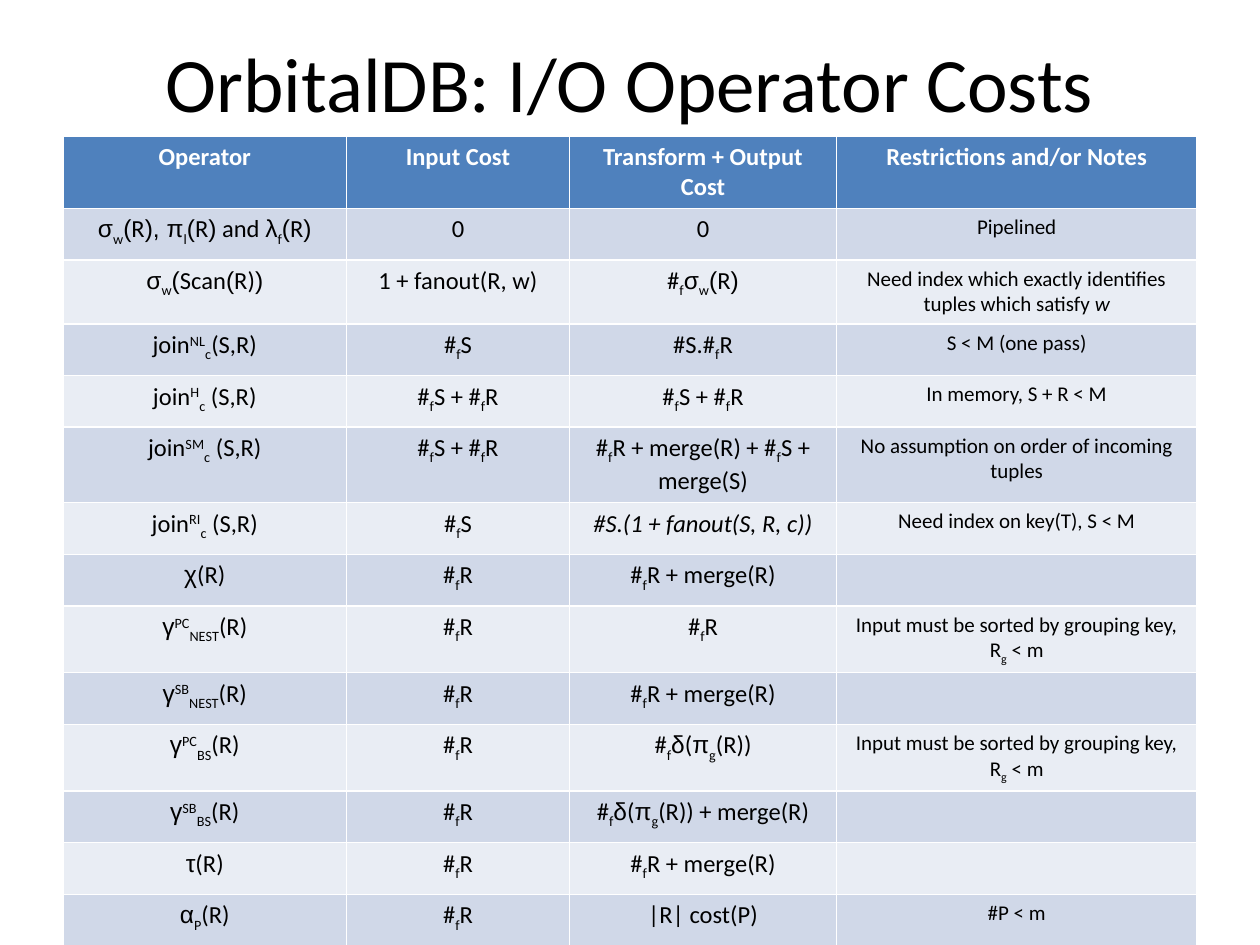
from dataclasses import dataclass

from pptx import Presentation
from pptx.dml.color import RGBColor
from pptx.enum.text import MSO_ANCHOR, PP_ALIGN
from pptx.util import Inches, Pt


@dataclass(frozen=True)
class Theme:
    """Colours, fonts and type sizes of the slide."""

    text_font: str = "Calibri"
    symbol_font: str = "Arial"
    ink: RGBColor = RGBColor(0x00, 0x00, 0x00)
    header_ink: RGBColor = RGBColor(0xFF, 0xFF, 0xFF)
    header_fill: RGBColor = RGBColor(0x4F, 0x81, 0xBD)
    bands: tuple = (RGBColor(0xD0, 0xD8, 0xE8), RGBColor(0xE9, 0xED, 0xF4))
    title_size: int = 44
    cost_size: int = 14
    note_size: int = 12


THEME = Theme()
SLIDE_WIDTH, SLIDE_HEIGHT = Inches(10), Inches(7.5)
TITLE = "OrbitalDB: I/O Operator Costs"
COLUMN_WIDTHS = (2.25, 1.77, 2.12, 2.86)
ROW_HEIGHT = 0.41
BASELINES = {"_": "-25000", "^": "30000"}

HEADERS = (
    "Operator",
    "Input Cost",
    "Transform + Output Cost",
    "Restrictions and/or Notes",
)
READ_R = "#_{f}R"
READ_S = "#_{f}S"
READ_BOTH = "#_{f}S + #_{f}R"
READ_AND_MERGE = "#_{f}R + merge(R)"
DISTINCT_GROUPS = "#_{f}~{δ}(~{π}_{g}(R))"
SORTED_INPUT = "Input must be sorted by grouping key,\nR_{g} < m"
OPERATORS = (
    ("~{σ}_{w}~{(}R~{), π}_{l}~{(}R~{)} and ~{λ}_{f}~{(}R~{)}", "0", "0", "Pipelined"),
    (
        "~{σ}_{w}~{(}Scan~{(}R)~{)}",
        "1 + fanout(R, w)",
        "#_{f}~{σ}_{w}~{(}R~{)}",
        "Need index which exactly identifies tuples which satisfy *{w}",
    ),
    ("join^{NL}_{c}(S,R)", READ_S, "#S.#_{f}R", "S < M (one pass)"),
    ("join^{H}_{c} (S,R)", READ_BOTH, READ_BOTH, "In memory, S + R < M"),
    (
        "join^{SM}_{c} (S,R)",
        READ_BOTH,
        "#_{f}R + merge(R) + #_{f}S + merge(S)",
        "No assumption on order of incoming tuples",
    ),
    (
        "join^{RI}_{c} (S,R)",
        READ_S,
        "*{#S.(1 + fanout(S, R, c))}",
        "Need index on key(T), S < M",
    ),
    ("~{χ}(R)", READ_R, READ_AND_MERGE, ""),
    ("~{γ}^{PC}_{NEST}(R)", READ_R, READ_R, SORTED_INPUT),
    ("~{γ}^{SB}_{NEST}(R)", READ_R, READ_AND_MERGE, ""),
    ("~{γ}^{PC}_{BS}(R)", READ_R, DISTINCT_GROUPS, SORTED_INPUT),
    ("~{γ}^{SB}_{BS}(R)", READ_R, DISTINCT_GROUPS + " + merge(R)", ""),
    ("~{τ}(R)", READ_R, READ_AND_MERGE, ""),
    ("~{α}_{P}(R)", READ_R, "|R| cost(P)", "#P < m"),
)


def split_marks(formula):
    """Yield (mark, text) pairs: _ subscript, ^ superscript, ~ symbol, * italic."""
    for piece in formula.split("}"):
        plain, brace, marked = piece.partition("{")
        lead = plain[:-1] if brace else plain
        if lead:
            yield "", lead
        if brace:
            yield plain[-1], marked


def add_formula(paragraph, formula, size, ink, bold):
    """Write one centred line of marked-up text."""
    paragraph.alignment = PP_ALIGN.CENTER
    for mark, text in split_marks(formula):
        run = paragraph.add_run()
        run.text = text
        font = run.font
        font.name = THEME.symbol_font if mark == "~" else THEME.text_font
        font.size = Pt(size)
        font.bold = bold
        font.italic = mark == "*"
        font.color.rgb = ink
        if mark in BASELINES:
            run._r.get_or_add_rPr().set("baseline", BASELINES[mark])


def fill_cell(cell, content, fill, size, ink, bold=False):
    """Colour a cell and write its lines."""
    cell.fill.solid()
    cell.fill.fore_color.rgb = fill
    frame = cell.text_frame
    for index, line in enumerate(content.split("\n")):
        paragraph = frame.add_paragraph() if index else frame.paragraphs[0]
        add_formula(paragraph, line, size, ink, bold)


def place_title(slide):
    """Position and format the title placeholder."""
    title = slide.shapes.title
    title.left, title.top = int(SLIDE_WIDTH * 0.05), Inches(0.02)
    title.width, title.height = int(SLIDE_WIDTH * 0.9), Inches(1.25)
    frame = title.text_frame
    frame.text = TITLE
    frame.vertical_anchor = MSO_ANCHOR.MIDDLE
    paragraph = frame.paragraphs[0]
    paragraph.alignment = PP_ALIGN.CENTER
    font = paragraph.runs[0].font
    font.name, font.size = THEME.text_font, Pt(THEME.title_size)
    font.color.rgb = THEME.ink


def add_cost_table(slide):
    """Add the banded table of operator costs."""
    row_count = len(OPERATORS) + 1
    table = slide.shapes.add_table(
        row_count,
        len(HEADERS),
        int(SLIDE_WIDTH * 0.05),
        Inches(1.08),
        Inches(sum(COLUMN_WIDTHS)),
        Inches(ROW_HEIGHT * row_count),
    ).table
    for column, width in zip(table.columns, COLUMN_WIDTHS):
        column.width = Inches(width)
    for row in table.rows:
        row.height = Inches(ROW_HEIGHT)
    for column, header in enumerate(HEADERS):
        fill_cell(
            table.cell(0, column), header, THEME.header_fill,
            THEME.cost_size, THEME.header_ink, bold=True,
        )
    sizes = (THEME.cost_size,) * 3 + (THEME.note_size,)
    for index, operator in enumerate(OPERATORS):
        band = THEME.bands[index % 2]
        for column, (content, size) in enumerate(zip(operator, sizes)):
            fill_cell(table.cell(index + 1, column), content, band, size, THEME.ink)


def main():
    """Build the slide and save it."""
    presentation = Presentation()
    presentation.slide_width, presentation.slide_height = SLIDE_WIDTH, SLIDE_HEIGHT
    slide = presentation.slides.add_slide(presentation.slide_layouts[5])
    place_title(slide)
    add_cost_table(slide)
    presentation.save("out.pptx")


if __name__ == "__main__":
    main()
